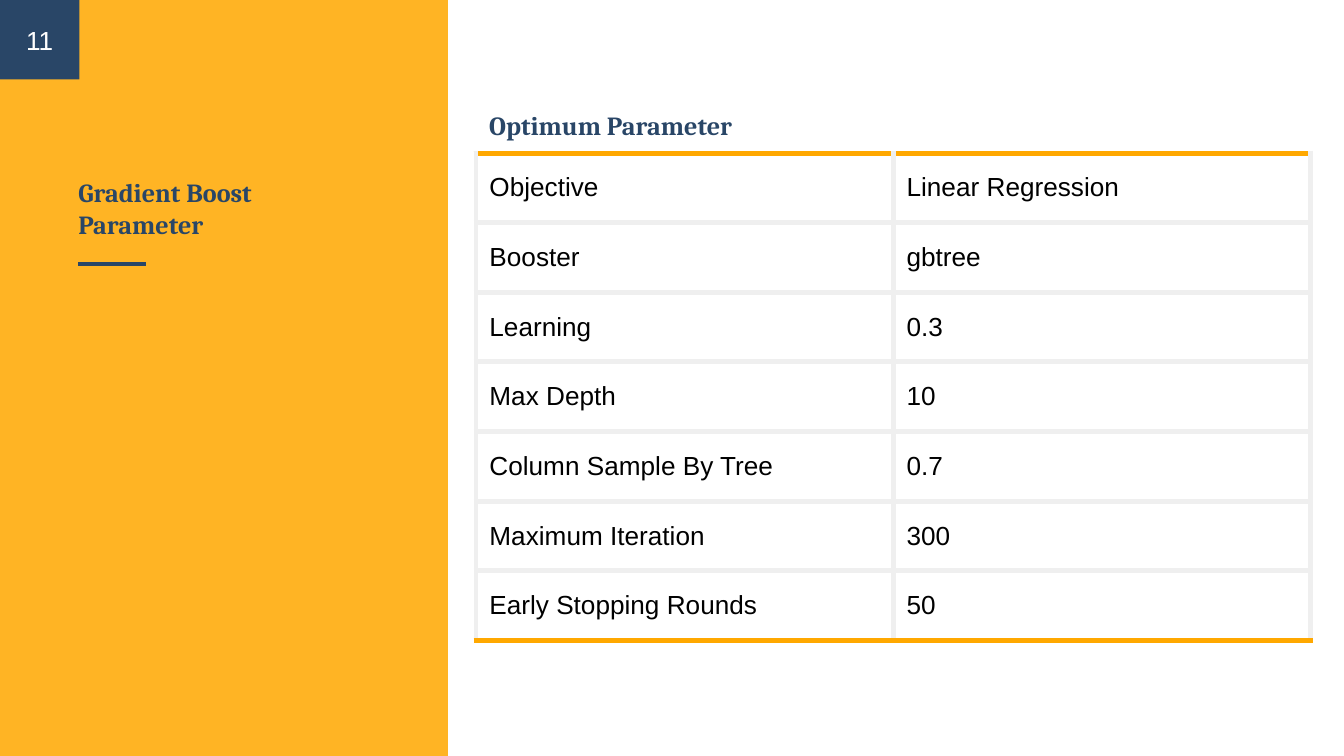
from lxml.etree import SubElement
from pptx import Presentation
from pptx.dml.color import RGBColor
from pptx.enum.shapes import MSO_CONNECTOR as Connector, MSO_SHAPE as Shape
from pptx.enum.text import MSO_ANCHOR as Anchor, MSO_AUTO_SIZE as AutoSize, PP_ALIGN as Align
from pptx.oxml.ns import qn
from pptx.util import Pt

NAVY, AMBER, GREY, WHITE, BLACK = "294667", "FFA800", "EFEFEF", "FFFFFF", "000000"
WIDTH, HEIGHT = 720, 405
PANEL_WIDTH = 240
BADGE_SIZE = 42.5
TABLE_LEFT, TABLE_TOP = 255, 82
COLUMN_WIDTH, ROW_HEIGHT = 223.5, 37.33
PARAMETERS = [
    ("Objective", "Linear Regression"),
    ("Booster", "gbtree"),
    ("Learning", "0.3"),
    ("Max Depth", "10"),
    ("Column Sample By Tree", "0.7"),
    ("Maximum Iteration", "300"),
    ("Early Stopping Rounds", "50"),
]


def paint(color_format, color):
    color_format.rgb = RGBColor.from_string(color)


def paint_fill(fill, color):
    fill.solid()
    paint(fill.fore_color, color)


def write(frame, text, color, font="Arial", bold=False, align=Align.LEFT):
    para = frame.paragraphs[0]
    para.alignment = align
    span = para.add_run()
    span.text = text
    span.font.name, span.font.size, span.font.bold = font, Pt(14), bold
    paint(span.font.color, color)


def format_frame(frame, anchor):
    frame.word_wrap = True
    frame.auto_size = AutoSize.NONE
    frame.vertical_anchor = anchor
    frame.margin_left = frame.margin_right = Pt(7.2)
    frame.margin_top = frame.margin_bottom = Pt(7.2)


def add_block(page, left, top, width, height, color, opacity=100):
    block = page.shapes.add_shape(Shape.RECTANGLE, Pt(left), Pt(top), Pt(width), Pt(height))
    block.shadow.inherit = False
    block.line.fill.background()
    paint_fill(block.fill, color)
    if opacity < 100:
        tint = block.element.spPr.find(".//" + qn("a:srgbClr"))
        SubElement(tint, qn("a:alpha"), val=str(opacity * 1000))
    return block


def add_rule(page, left, top, length):
    rule = page.shapes.add_connector(
        Connector.STRAIGHT, Pt(left), Pt(top), Pt(left + length), Pt(top))
    rule.line.width = Pt(2.25)
    paint(rule.line.color, NAVY)
    SubElement(rule.element.spPr, qn("a:effectLst"))


def place_heading(box, left, top, width, text):
    box.left, box.top, box.width, box.height = Pt(left), Pt(top), Pt(width), Pt(53.5)
    format_frame(box.text_frame, Anchor.BOTTOM)
    write(box.text_frame, text, NAVY, font="Cambria", bold=True)


def add_borders(cell, top, bottom):
    """Draw grey sides and the given top and bottom colours; call before filling the cell."""
    properties = cell._tc.get_or_add_tcPr()
    for side, color in (("L", GREY), ("R", GREY), ("T", top), ("B", bottom)):
        line = SubElement(properties, qn("a:ln" + side), w=str(Pt(3)))
        SubElement(SubElement(line, qn("a:solidFill")), qn("a:srgbClr"), val=color)


def add_parameter_table(page):
    count = len(PARAMETERS)
    table = page.shapes.add_table(
        count, 2, Pt(TABLE_LEFT), Pt(TABLE_TOP),
        Pt(2 * COLUMN_WIDTH), Pt(count * ROW_HEIGHT)).table
    table.first_row = table.horz_banding = False
    for column in table.columns:
        column.width = Pt(COLUMN_WIDTH)
    for index, texts in enumerate(PARAMETERS):
        table.rows[index].height = Pt(ROW_HEIGHT)
        top = AMBER if index == 0 else GREY
        bottom = AMBER if index == count - 1 else GREY
        for cell, text in zip(table.rows[index].cells, texts):
            add_borders(cell, top, bottom)
            paint_fill(cell.fill, WHITE)
            cell.vertical_anchor = Anchor.MIDDLE
            cell.margin_left = cell.margin_right = Pt(7.2)
            cell.margin_top = cell.margin_bottom = Pt(5)
            write(cell.text_frame, text, BLACK)


def main():
    deck = Presentation()
    deck.slide_width, deck.slide_height = Pt(WIDTH), Pt(HEIGHT)
    page = deck.slides.add_slide(deck.slide_layouts[5])
    title = page.shapes.title

    add_block(page, 0, 0, PANEL_WIDTH, HEIGHT, AMBER, opacity=86)
    add_block(page, PANEL_WIDTH, 0, WIDTH - PANEL_WIDTH, HEIGHT, WHITE)
    add_rule(page, 42, 141.25, 36)

    badge = add_block(page, 0, 0, BADGE_SIZE, BADGE_SIZE, NAVY)
    format_frame(badge.text_frame, Anchor.MIDDLE)
    write(badge.text_frame, "11", WHITE, align=Align.CENTER)

    # The placeholder comes first on the page, so it is raised above the panel.
    title.element.getparent().append(title.element)
    place_heading(title, 34.75, 82, 169, "Gradient Boost Parameter")

    add_parameter_table(page)
    heading = page.shapes.add_textbox(0, 0, 0, 0)
    place_heading(heading, TABLE_LEFT, 29, 330, "Optimum Parameter")

    deck.save("out.pptx")


if __name__ == "__main__":
    main()
